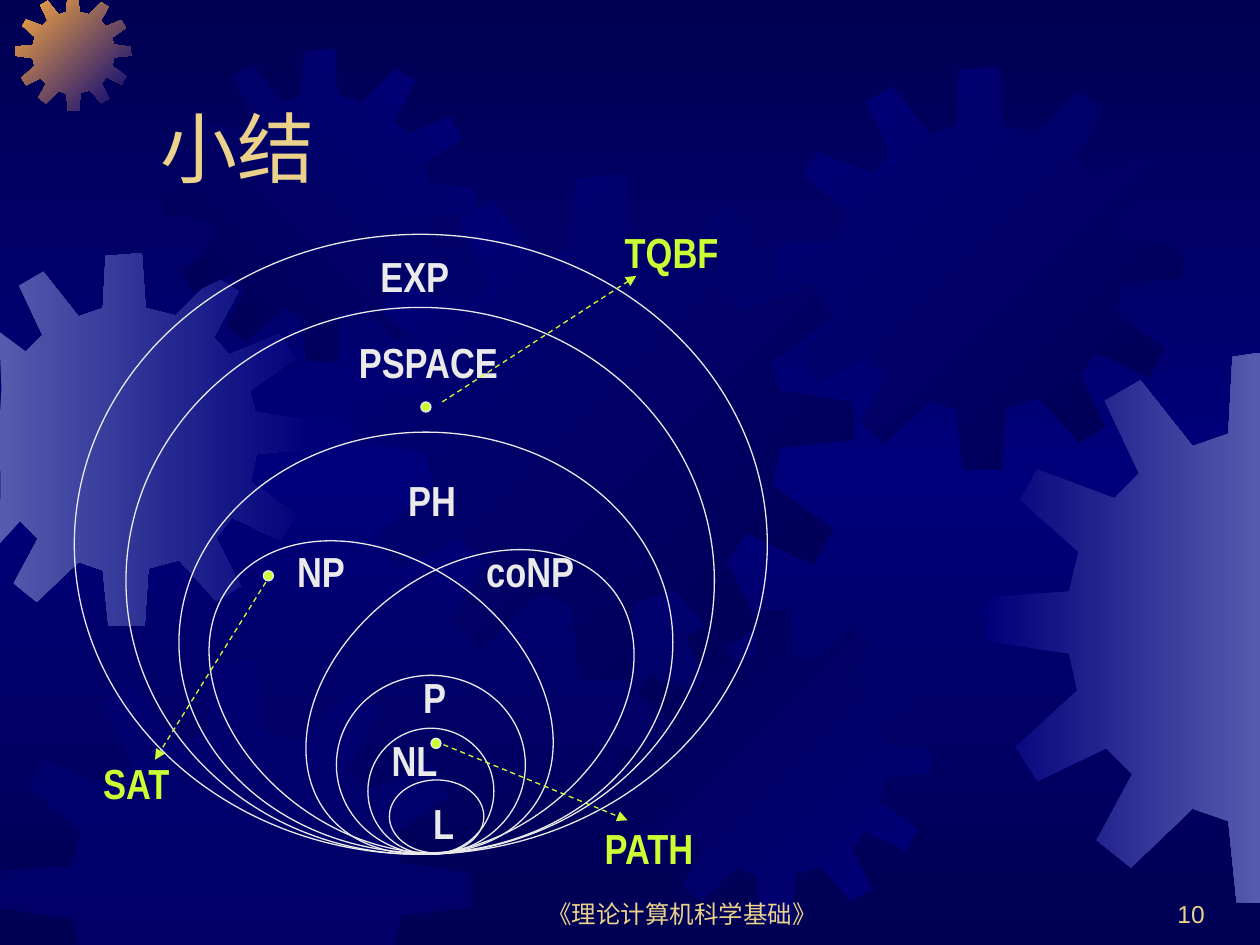
import copy

import lxml.etree
import pptx
import pptx.dml.color
import pptx.enum.dml
import pptx.enum.shapes
import pptx.enum.text
import pptx.oxml.ns
import pptx.util

Inches, Pt = pptx.util.Inches, pptx.util.Pt
ALIGN = pptx.enum.text.PP_ALIGN
ANCHOR = pptx.enum.text.MSO_ANCHOR

WIDTH, HEIGHT = 10, 7.5
COLORS = {"dark": "000054", "navy": "00007A", "steel": "555BAD", "orange": "FCAB40",
          "gold": "EBD189", "white": "EAEAEA", "lime": "CCFF33"}

# Outline of one twelve-tooth gear, on a square of GEAR_UNITS
GEAR_UNITS = 401
GEAR = [(255, 67), (223, 59), (219, 0), (180, 3), (177, 59), (151, 68), (113, 20), (87, 35),
        (112, 88), (94, 106), (38, 85), (25, 107), (68, 145), (61, 174), (1, 178), (0, 210),
        (61, 219), (67, 246), (22, 287), (38, 312), (88, 288), (107, 307), (81, 355), (106, 375),
        (151, 332), (177, 341), (183, 400), (222, 401), (226, 339), (259, 330), (299, 374),
        (325, 358), (299, 306), (316, 284), (368, 309), (384, 281), (336, 246), (342, 216),
        (401, 210), (400, 180), (341, 171), (335, 148), (383, 114), (367, 87), (313, 109),
        (296, 91), (323, 41), (297, 25)]

# Gears: left, top, size, first colour, last colour, clockwise angle (None = half clear)
GEARS = [
    (-0.49, 2.01, 2.96, "steel", "navy", 0),
    (0.12, -0.04, 0.92, "orange", "navy", 45),
    (1.3, 0.39, 2.48, "dark", "navy", 315),
    (2.77, 1.39, 4.01, "navy", "dark", 45),
    (0, 5.25, 3.74, "navy", "navy", None),
    (4.91, 4.84, 2.48, "dark", "navy", 45),
    (6.18, 0.53, 3.2, "navy", "dark", 45),
    (7.82, 2.8, 4.37, "navy", "steel", 0),
]

# Complexity classes: name, ellipse box, rotation, label box
CLASSES = [
    ("NP", (1.94, 4.04, 2.17, 2.98), 305.7, (2.26, 4.28, 0.75)),
    ("coNP", (2.69, 4.13, 2.08, 2.88), 51.9, (3.76, 4.28, 1.08)),
    ("P", (2.67, 5.36, 1.5, 1.42), 0, (3.26, 5.28, 0.58)),
    ("EXP", (0.59, 1.86, 5.5, 4.92), 0, (2.92, 1.94, 0.75)),
    ("PH", (1.42, 3.43, 3.92, 3.34), 0, (3.14, 3.72, 0.78)),
    ("NL", (2.92, 5.78, 1, 1), 0, (3.01, 5.78, 0.75)),
    ("L", (3.09, 6.19, 0.75, 0.58), 0, (3.34, 6.28, 0.5)),
    ("PSPACE", (1, 2.44, 4.67, 4.34), 0, (2.75, 2.62, 1.64)),
]

# Complete problems: name, dot corner, arrow start, arrow end, label box
PROBLEMS = [
    ("TQBF", (3.34, 3.19), (3.51, 3.19), (5.05, 2.19), (4.86, 1.75, 1)),
    ("SAT", (2.09, 4.53), (2.11, 4.62), (1.23, 6.03), (0.72, 5.96, 0.83)),
    ("PATH", (3.42, 5.86), (3.52, 5.91), (4.98, 6.51), (4.7, 6.48, 1.08)),
]
DOT = 0.08
LABEL_HEIGHT = 0.5

# Footer: text, left, width, alignment
FOOTERS = [("《理论计算机科学基础》", 3.83, 3.17, ALIGN.CENTER), ("10", 7.58, 2.08, ALIGN.RIGHT)]


def color(name):
    return pptx.dml.color.RGBColor.from_string(COLORS[name])


def add_xml(parent, tag, **attributes):
    return lxml.etree.SubElement(parent, pptx.oxml.ns.qn(tag), attributes)


def set_gradient(fill, first, last, clockwise):
    fill.gradient()
    fill.gradient_angle = (360 - clockwise) % 360
    for stop, name, position in zip(fill.gradient_stops, (first, last), (0, 1)):
        stop.color.rgb = color(name)
        stop.position = position


def write(shape, text, size, font, color_name, align=ALIGN.LEFT, anchor=ANCHOR.TOP, bold=False):
    frame = shape.text_frame
    frame.text = text
    frame.word_wrap = True
    frame.auto_size = pptx.enum.text.MSO_AUTO_SIZE.NONE
    frame.vertical_anchor = anchor
    paragraph = frame.paragraphs[0]
    paragraph.alignment = align
    run_font = paragraph.runs[0].font
    run_font.size, run_font.name, run_font.bold = Pt(size), font, bold
    run_font.color.rgb = color(color_name)


def add_label(slide, text, box, color_name):
    label = slide.shapes.add_textbox(*map(Inches, (*box, LABEL_HEIGHT)))
    write(label, text, 24, "Arial Narrow", color_name, bold=True)


def add_gear(slide, left, top, size, first, last, angle):
    # Teeth beyond the slide are pressed flat against its edge
    points = [(Inches(min(max(left + x * size / GEAR_UNITS, 0), WIDTH)),
               Inches(min(max(top + y * size / GEAR_UNITS, 0), HEIGHT))) for x, y in GEAR]
    builder = slide.shapes.build_freeform(*points[0])
    builder.add_line_segments(points[1:], close=True)
    gear = builder.convert_to_shape()
    gear.shadow.inherit = False
    gear.line.fill.background()
    if angle is None:
        gear.fill.solid()
        gear.fill.fore_color.rgb = color(first)
        for element in gear.element.spPr.iterfind("./" + pptx.oxml.ns.qn("a:solidFill") + "/*"):
            add_xml(element, "a:alpha", val="50000")
    else:
        set_gradient(gear.fill, first, last, angle)


def add_ellipse(slide, box, rotation=0, fill=None):
    ellipse = slide.shapes.add_shape(pptx.enum.shapes.MSO_SHAPE.OVAL, *map(Inches, box))
    ellipse.shadow.inherit = False
    ellipse.rotation = rotation
    ellipse.line.color.rgb = color("white")
    ellipse.line.width = Pt(0.75)
    if fill:
        ellipse.fill.solid()
        ellipse.fill.fore_color.rgb = color(fill)
    else:
        ellipse.fill.background()


def add_arrow(slide, start, end):
    arrow = slide.shapes.add_connector(pptx.enum.shapes.MSO_CONNECTOR.STRAIGHT,
                                       *map(Inches, (*start, *end)))
    arrow.line.color.rgb = color("lime")
    arrow.line.width = Pt(0.75)
    arrow.line.dash_style = pptx.enum.dml.MSO_LINE.DASH
    add_xml(arrow.line._get_or_add_ln(), "a:tailEnd", type="triangle")
    add_xml(arrow.element.spPr, "a:effectLst")


def main():
    presentation = pptx.Presentation()
    presentation.slide_width, presentation.slide_height = Inches(WIDTH), Inches(HEIGHT)
    slide = presentation.slides.add_slide(presentation.slide_layouts[5])

    # Background: dark at both ends, lighter in the middle
    set_gradient(slide.background.fill, "dark", "navy", 90)
    stops = slide.element.xpath(".//p:bg//a:gsLst")[0]
    stops.append(copy.deepcopy(stops[0]))
    stops[1].set("pos", "50000")
    stops[2].set("pos", "100000")

    for gear in GEARS:
        add_gear(slide, *gear)

    # Title and footer
    title = slide.shapes.title
    title.left, title.top, title.width, title.height = map(Inches, (1.17, 0.33, 8.5, 1.25))
    write(title, "小结", 44, "Arial", "gold", anchor=ANCHOR.BOTTOM)
    for text, left, width, align in FOOTERS:
        footer = slide.shapes.add_textbox(*map(Inches, (left, 6.92, width, 0.5)))
        write(footer, text, 14, "Arial", "gold", align, ANCHOR.BOTTOM)

    # Nested classes
    for name, box, rotation, label_box in CLASSES:
        add_ellipse(slide, box, rotation)
        add_label(slide, name, label_box, "white")

    # Complete problems
    for name, dot, start, end, label_box in PROBLEMS:
        add_ellipse(slide, (*dot, DOT, DOT), fill="lime")
        add_arrow(slide, start, end)
        add_label(slide, name, label_box, "lime")

    # The title stands in front of the gears
    slide.shapes.title.element.getparent().insert(2 + len(GEARS), title.element)
    presentation.save("out.pptx")


if __name__ == "__main__":
    main()
